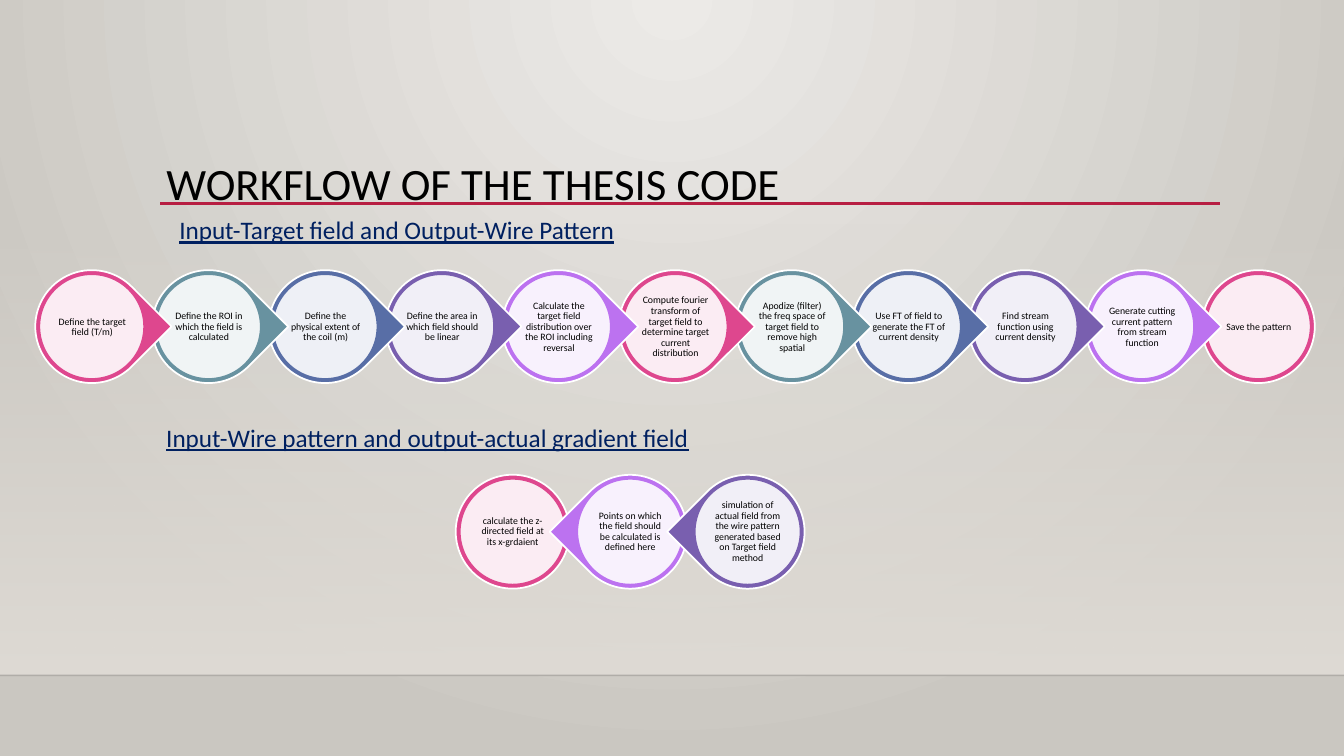
from lxml import etree
from pptx import Presentation, util as u
from pptx.dml.color import RGBColor
from pptx.enum import shapes as sh, text as tx
from pptx.oxml import ns

PX = 9144  # 100 px to the inch
FONT = "Calibri"
BLACK = RGBColor(0x00, 0x00, 0x00)
WHITE = RGBColor(0xFF, 0xFF, 0xFF)
NAVY = RGBColor(0x00, 0x20, 0x60)
CRIMSON = RGBColor(0xB7, 0x1E, 0x42)
SAND = RGBColor(0xDF, 0xDB, 0xD5)
BG_LIGHT = RGBColor(0xEC, 0xEA, 0xE7)
BG_DARK = RGBColor(0xCA, 0xC7, 0xC1)
PINK = RGBColor(0xDE, 0x47, 0x8E)
TEAL = RGBColor(0x68, 0x92, 0xA0)
BLUE = RGBColor(0x58, 0x6E, 0xA6)
PURPLE = RGBColor(0x79, 0x5F, 0xAF)
LILAC = RGBColor(0xBC, 0x72, 0xF0)

DESIGN_STEPS = [
    "Define the target field (T/m)",
    "Define the ROI in which the field is calculated",
    "Define the physical extent of the coil (m)",
    "Define the area in which field should be linear",
    "Calculate the target field distribution over the ROI including reversal",
    "Compute fourier transform of target field to determine target current distribution",
    "Apodize (filter) the freq space of target field to remove high spatial",
    "Use FT of field to generate the FT of current density",
    "Find stream function using current density",
    "Generate cutting current pattern from stream function",
    "Save the pattern",
]
CHECK_STEPS = [
    "calculate the z-directed field at its x-grdaient",
    "Points on which the field should be calculated is defined here",
    "simulation of actual field from the wire pattern generated based on Target field method",
]
# steps, left of first, left of last, top, size, colours, rotation, round step, draw order
CHAINS = [
    (DESIGN_STEPS, 35, 1192, 268, 112, [PINK, TEAL, BLUE, PURPLE, LILAC], 45, 10, -1),
    (CHECK_STEPS, 452, 685, 471, 113, [PINK, LILAC, PURPLE], 225, 0, 1),
]


def emu(*lengths):
    return [u.Emu(round(v * PX)) for v in lengths]


def set_alpha(colour_parent, percent):
    """Give the first colour under the element an opacity."""
    colour = next(colour_parent.iter(ns.qn("a:srgbClr")))
    etree.SubElement(colour, ns.qn("a:alpha")).set("val", str(percent * 1000))


prs = Presentation()
prs.slide_width, prs.slide_height = emu(1333, 750)
s = prs.slides.add_slide(prs.slide_layouts[5])

# Radial background
fill = s.background.fill
fill.gradient()
for stop, colour in zip(fill.gradient_stops, (BG_LIGHT, BG_DARK)):
    stop.color.rgb = colour
lin = next(s.element.iter(ns.qn("a:lin")))
radial = etree.Element(ns.qn("a:path"), {"path": "circle"})
etree.SubElement(radial, ns.qn("a:fillToRect"),
                 {"l": "43000", "t": "0", "r": "43000", "b": "100000"})
lin.getparent().replace(lin, radial)

# Wall fading in towards the floor
wall = s.shapes.add_shape(sh.MSO_SHAPE.RECTANGLE, *emu(0, 221, 1333, 449))
wall.shadow.inherit = False
wall.line.fill.background()
wall.fill.gradient()
wall.fill.gradient_angle = 270
for stop in wall.fill.gradient_stops:
    stop.color.rgb = SAND
set_alpha(wall.element.spPr, 0)

for x1, x2, y, colour, width in [(0, 1333, 670, BLACK, 1), (159, 1210, 202, CRIMSON, 2.5)]:
    rule = s.shapes.add_connector(sh.MSO_CONNECTOR.STRAIGHT, *emu(x1, y, x2, y))
    rule.line.color.rgb = colour
    rule.line.width = u.Pt(width)
    etree.SubElement(rule.element.spPr, ns.qn("a:effectLst"))
    if colour == BLACK:
        set_alpha(rule.element.spPr, 20)

title = s.shapes.title
title.left, title.top, title.width, title.height = emu(155, 155, 1050, 115)
s.shapes.element.append(title.element)  # in front of the wall
tf = title.text_frame
tf.text = "WORKFLOW OF THE THESIS CODE"
tf.vertical_anchor = tx.MSO_ANCHOR.TOP
tf.auto_size = tx.MSO_AUTO_SIZE.NONE
p = tf.paragraphs[0]
p.alignment = tx.PP_ALIGN.LEFT
p.line_spacing = 0.9
p.runs[0].font.size = u.Pt(32)
p.runs[0].font.name = FONT
p.runs[0].font.color.rgb = BLACK

for steps, first, last, top, size, colours, rotation, round_step, order in CHAINS:
    chain = s.shapes.add_group_shape()
    pitch = (last - first) / (len(steps) - 1)
    for i, step in list(enumerate(steps))[::order]:
        left = first + i * pitch
        colour = colours[i % len(colours)]
        kind = sh.MSO_SHAPE.OVAL if i == round_step else sh.MSO_SHAPE.TEAR

        drop = chain.shapes.add_shape(kind, *emu(left, top, size, size))
        drop.rotation = 0 if i == round_step else rotation
        disc = chain.shapes.add_shape(
            sh.MSO_SHAPE.OVAL, *emu(left + 4, top + 4, size - 8, size - 8))
        for sp, inside, edge in [(drop, colour, WHITE), (disc, WHITE, colour)]:
            sp.shadow.inherit = False
            sp.fill.solid()
            sp.fill.fore_color.rgb = inside
            sp.line.color.rgb = edge
            sp.line.width = u.Pt(1.25)
        set_alpha(disc.element.spPr, 90)

        label = chain.shapes.add_textbox(*emu(left + 19, top + 19, 75, 75))
        tf = label.text_frame
        tf.text = step
        tf.word_wrap = True
        tf.vertical_anchor = tx.MSO_ANCHOR.MIDDLE
        tf.margin_left, tf.margin_top, tf.margin_right, tf.margin_bottom = emu(1, 1, 1, 1)
        p = tf.paragraphs[0]
        p.alignment = tx.PP_ALIGN.CENTER
        p.line_spacing = 0.9
        p.runs[0].font.size = u.Pt(7)
        p.runs[0].font.name = FONT
        p.runs[0].font.color.rgb = BLACK

for heading, left, top, width in [
    ("Input-Target field and Output-Wire Pattern", 168, 208, 576),
    ("Input-Wire pattern and output-actual gradient field", 155, 414, 589),
]:
    tf = s.shapes.add_textbox(*emu(left, top, width, 40)).text_frame
    tf.text = heading
    tf.word_wrap = True
    tf.auto_size = tx.MSO_AUTO_SIZE.SHAPE_TO_FIT_TEXT
    r = tf.paragraphs[0].runs[0]
    r.font.size = u.Pt(18)
    r.font.name = FONT
    r.font.underline = True
    r.font.color.rgb = NAVY

prs.save("out.pptx")
